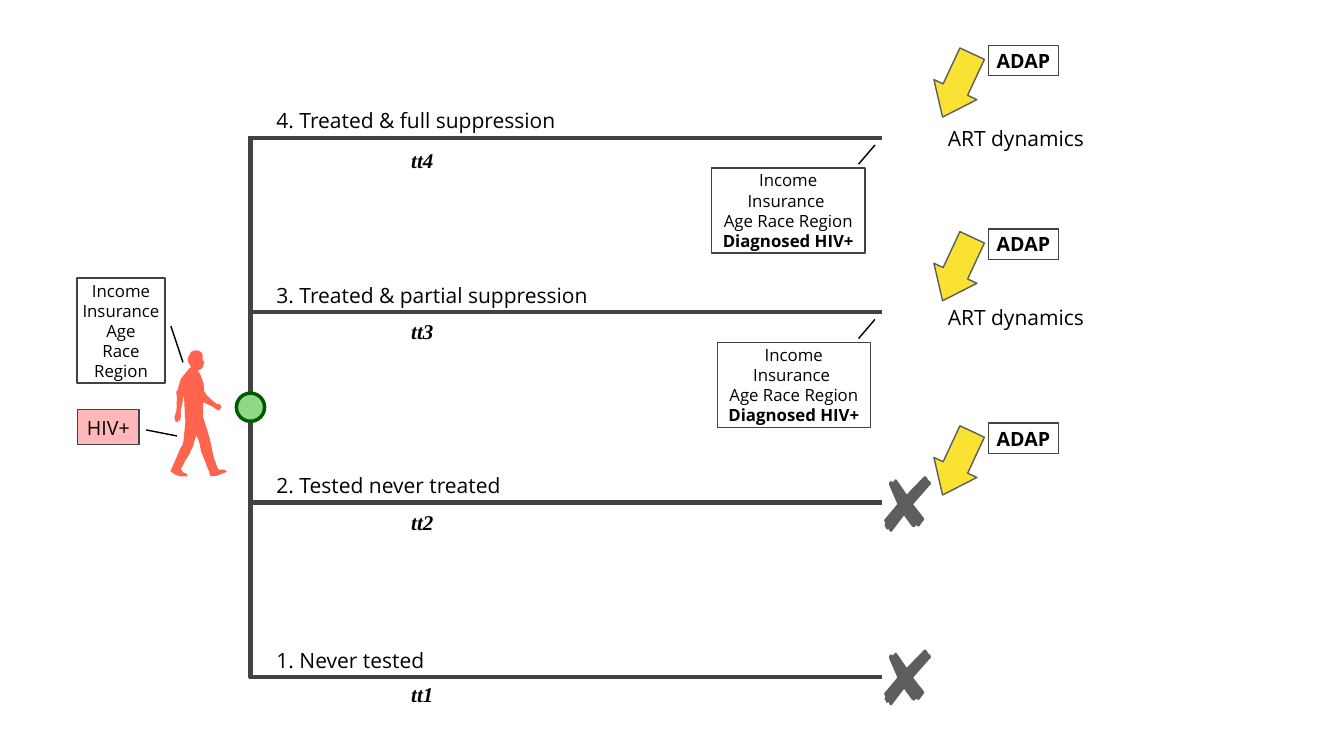
import pptx
import pptx.dml.color
import pptx.enum.shapes
import pptx.enum.text
import pptx.oxml.ns
import pptx.util
from lxml import etree

Pt = pptx.util.Pt
RGBColor = pptx.dml.color.RGBColor
SHAPE = pptx.enum.shapes.MSO_SHAPE
ALIGN = pptx.enum.text.PP_ALIGN

BLACK = RGBColor(0x00, 0x00, 0x00)
WHITE = RGBColor(0xFF, 0xFF, 0xFF)
CHARCOAL = RGBColor(0x42, 0x42, 0x42)
GREY = RGBColor(0x5E, 0x5E, 0x5E)
YELLOW = RGBColor(0xFA, 0xE2, 0x32)
CORAL = RGBColor(0xFF, 0x64, 0x4E)
PINK = RGBColor(0xFF, 0xB8, 0xB9)
GREEN = RGBColor(0x90, 0xD8, 0x85)
DARK_GREEN = RGBColor(0x00, 0x5A, 0x02)

# Outlines are in steps of 0.72 pt from the top left of the figure.
OUTLINE_STEP = Pt(0.72)
WALKER = [
    (49, 0), (41, 3), (34, 17), (36, 25), (40, 31), (40, 35), (37, 36), (36, 38),
    (21, 56), (14, 79), (12, 82), (12, 89), (13, 90), (12, 121), (11, 123),
    (8, 133), (9, 138), (10, 141), (14, 143), (16, 139), (19, 140), (21, 130),
    (20, 123), (26, 93), (27, 90), (28, 112), (29, 135), (30, 139), (26, 180),
    (24, 188), (20, 194), (9, 220), (6, 227), (5, 229), (0, 240), (10, 247),
    (20, 250), (33, 250), (34, 248), (32, 245), (29, 244), (25, 242), (20, 235),
    (22, 234), (27, 224), (29, 220), (37, 207), (45, 190), (51, 169), (56, 178),
    (58, 186), (61, 201), (71, 226), (75, 237), (76, 238), (79, 250), (92, 249),
    (110, 242), (112, 240), (107, 237), (96, 237), (95, 235), (92, 232), (93, 232),
    (88, 218), (85, 208), (78, 175), (73, 158), (64, 130), (65, 124), (65, 103),
    (84, 112), (91, 117), (94, 120), (98, 118), (101, 113), (101, 111), (97, 107),
    (94, 107), (91, 106), (80, 97), (71, 88), (70, 85), (67, 82), (66, 66),
    (59, 47), (59, 46), (55, 43), (56, 39), (61, 37), (64, 34), (65, 30), (67, 24),
    (64, 18), (64, 11), (63, 6), (57, 1),
]
CROSS = [
    (81, 0), (79, 1), (47, 34), (45, 36), (43, 33), (30, 14), (25, 7), (22, 6),
    (20, 9), (17, 12), (14, 9), (10, 13), (10, 17), (26, 54), (26, 56), (0, 87),
    (2, 92), (2, 95), (1, 97), (1, 98), (6, 106), (9, 104), (10, 106), (12, 110),
    (15, 110), (16, 109), (38, 80), (40, 78), (42, 81), (56, 100), (60, 101),
    (64, 97), (68, 100), (71, 98), (73, 95), (75, 92), (78, 89), (80, 84),
    (58, 56), (60, 53), (89, 20), (93, 16), (92, 10), (89, 9), (86, 5), (86, 4),
    (84, 1),
]


def write(frame, lines, size, align, inset=0, font="Open Sans", bold=False, italic=False):
    frame.word_wrap = True
    frame.vertical_anchor = pptx.enum.text.MSO_ANCHOR.MIDDLE
    frame.margin_left = frame.margin_right = Pt(inset)
    frame.margin_top = frame.margin_bottom = Pt(inset)
    frame.text = "\n".join(lines)
    for paragraph in frame.paragraphs:
        paragraph.alignment = align
        for run in paragraph.runs:
            run.font.name, run.font.size = font, Pt(size)
            run.font.bold, run.font.italic = bold, italic
            run.font.color.rgb = BLACK


def paint(shape, fill, line=None, width=2):
    shape.shadow.inherit = False
    shape.fill.solid()
    shape.fill.fore_color.rgb = fill
    if line is None:
        shape.line.fill.background()
    else:
        shape.line.color.rgb = line
        shape.line.width = Pt(width)


presentation = pptx.Presentation()
presentation.slide_width, presentation.slide_height = Pt(1920), Pt(1080)
slide = presentation.slides.add_slide(presentation.slide_layouts[6])
shapes = slide.shapes

# Tree: trunk, four arms, and the pointers to the attribute boxes
arm_tops = {4: 196.6, 3: 445.7, 2: 717.8, 1: 967}
strokes = [((357.8, 969), (357.8, 193.7), CHARCOAL, 6)]
strokes += [((355.7, y), (1260, y), CHARCOAL, 6) for y in arm_tops.values()]
strokes += [((1250, arm_tops[n] + 10.5), (1226.5, arm_tops[n] + 38), BLACK, 2) for n in (4, 3)]
strokes += [
    ((252.7, 622.8), (208.8, 614.2), BLACK, 2),
    ((261.4, 517.7), (244.1, 465.8), BLACK, 2),
]
for start, end, color, width in strokes:
    stroke = shapes.add_connector(
        pptx.enum.shapes.MSO_CONNECTOR.STRAIGHT, *[Pt(v) for v in start + end])
    stroke.line.color.rgb = color
    stroke.line.width = Pt(width)
    etree.SubElement(stroke.element.spPr, pptx.oxml.ns.qn("a:effectLst"))

chance_node = shapes.add_shape(SHAPE.OVAL, Pt(337.7), Pt(561.6), Pt(40.3), Pt(40.3))
paint(chance_node, GREEN, DARK_GREEN, 5)

# Walking person, and a cross at the end of each untreated arm
figures = [(WALKER, 243.4, 500.4, CORAL)]
figures += [(CROSS, 1262.9, arm_tops[n] - 38.9 + (n == 2) * 1.5, GREY) for n in (2, 1)]
for outline, left, top, color in figures:
    builder = shapes.build_freeform(*outline[0], scale=OUTLINE_STEP)
    builder.add_line_segments(outline[1:], close=True)
    paint(builder.convert_to_shape(Pt(left), Pt(top)), color)

# Person attributes
attributes = shapes.add_shape(SHAPE.RECTANGLE, Pt(110.2), Pt(397.4), Pt(125.3), Pt(149.8))
paint(attributes, WHITE, CHARCOAL)
write(attributes.text_frame, ["Income", "Insurance Age", "Race", "Region"], 24, ALIGN.CENTER)
status = shapes.add_shape(SHAPE.RECTANGLE, Pt(110.9), Pt(585.4), Pt(87.8), Pt(49.7))
paint(status, PINK, CHARCOAL)
write(status.text_frame, ["HIV+"], 28, ALIGN.CENTER)

# Attributes that act on the treated arms
for number, left in ((4, 1016.6), (3, 1024.6)):
    factors = shapes.add_shape(
        SHAPE.RECTANGLE, Pt(left), Pt(arm_tops[number] + 43.2), Pt(218.9), Pt(121.7))
    paint(factors, WHITE, CHARCOAL)
    write(factors.text_frame, ["Income", "Insurance ", "Age Race Region "], 24, ALIGN.CENTER)
    diagnosed = factors.text_frame.paragraphs[-1].add_run()
    diagnosed.text = "Diagnosed HIV+"
    diagnosed.font.name, diagnosed.font.size = "Open Sans", Pt(24)
    diagnosed.font.bold = True
    diagnosed.font.color.rgb = BLACK

# Arm names above and time labels below each arm
arms = [
    (4, "Treated & full suppression", 208.8),
    (3, "Treated & partial suppression", 452.2),
    (2, "Tested never treated", 725.8),
    (1, "Never tested", 970.6),
]
for number, name, time_top in arms:
    arm_name = shapes.add_textbox(Pt(391), Pt(arm_tops[number] - 46.2), Pt(540), Pt(43.2))
    write(arm_name.text_frame, [f"{number}. {name}"], 30, ALIGN.LEFT, 4)
    time_label = shapes.add_textbox(Pt(552.2), Pt(time_top), Pt(102.2), Pt(41))
    write(time_label.text_frame, [f"tt{number}"], 30, ALIGN.CENTER, 4,
          font="Times New Roman", bold=True, italic=True)

for top in (175, 431.3):
    dynamics = shapes.add_textbox(Pt(1350), Pt(top), Pt(221), Pt(43.2))
    write(dynamics.text_frame, ["ART dynamics"], 30, ALIGN.LEFT, 4)

# ADAP entry points
for top in (64.8, 327.2, 604.6):
    entry = shapes.add_group_shape().shapes
    arrow = entry.add_shape(SHAPE.RIGHT_ARROW, Pt(1317.6), Pt(top + 23.3), Pt(100), Pt(67.7))
    arrow.rotation = 115
    arrow.adjustments[0], arrow.adjustments[1] = 0.57, 0.64
    paint(arrow, YELLOW, GREY)
    program = entry.add_shape(SHAPE.RECTANGLE, Pt(1412), Pt(top), Pt(100), Pt(43.2))
    paint(program, WHITE, CHARCOAL)
    write(program.text_frame, ["ADAP"], 28, ALIGN.CENTER, bold=True)

presentation.save("out.pptx")
